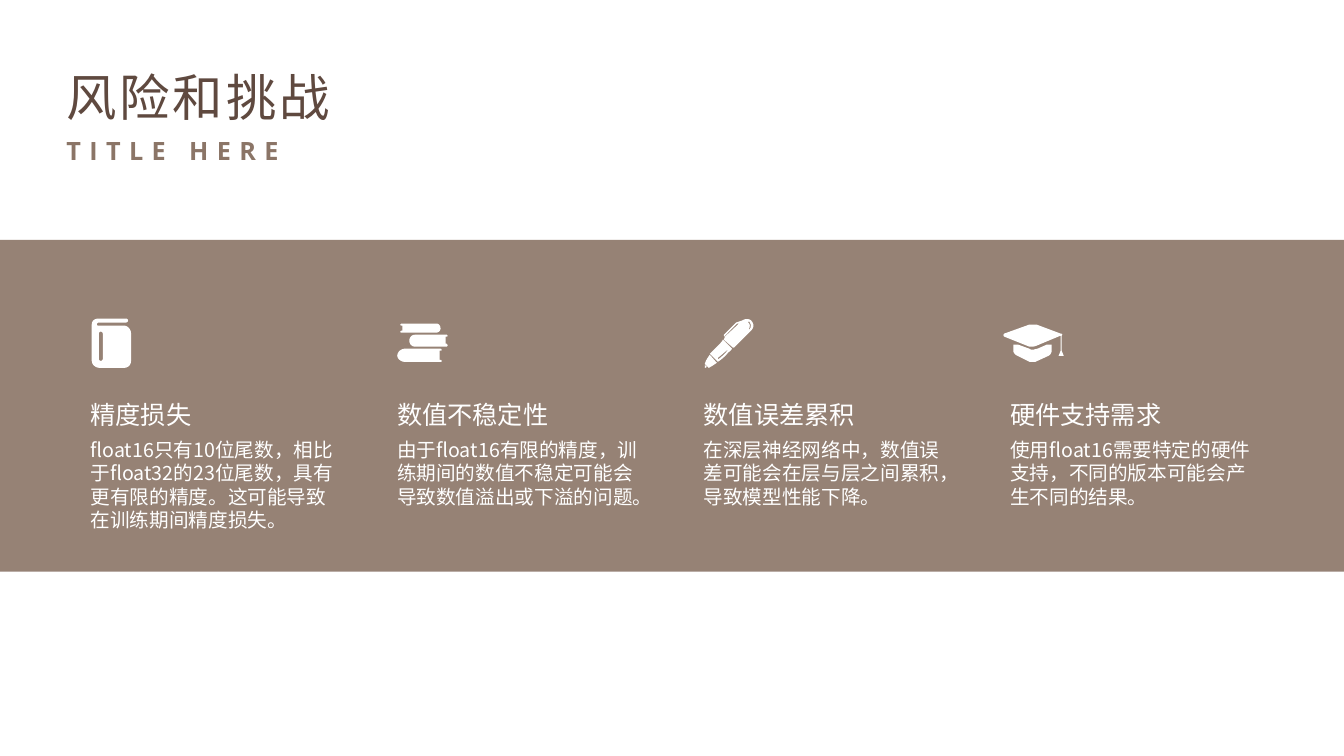
from dataclasses import dataclass

from lxml import etree
from pptx import Presentation
from pptx.dml.color import RGBColor
from pptx.enum import shapes, text
from pptx.oxml import ns
from pptx.util import Inches, Pt


@dataclass(frozen=True)
class Theme:
    dark: str = "5F493F"
    brown: str = "8B7567"
    white: str = "FFFFFF"
    chinese: str = "Noto Sans CJK SC"
    latin: str = "Open Sans"
    title: int = 36
    heading: int = 18
    body: int = 14


theme = Theme()


def style(para, size, color, name, bold=False, spacing=0):
    """Format a paragraph, including its East Asian font and letter spacing."""
    font = para.font
    font.size, font.bold, font.name = Pt(size), bold, name
    font.color.rgb = RGBColor.from_string(color)
    properties = para._p.pPr.find(ns.qn("a:defRPr"))
    properties.set("spc", str(spacing * 100))
    east_asian = etree.Element(ns.qn("a:ea"), typeface=name)
    properties.find(ns.qn("a:latin")).addnext(east_asian)


def draw_icon(page, left, top, outline):
    """Draw an outline of M, L, C and Z steps given in hundredths of an inch."""
    contours = []
    for step in outline.split():
        values = [float(value) for value in step[1:].split(",") if value]
        points = list(zip(values[::2], values[1::2]))
        if step[0] == "M":
            contours.append(points)
        elif step[0] == "L":
            contours[-1] += points
        elif step[0] == "C":
            curve = [contours[-1][-1]] + points
            for t in (0.2, 0.4, 0.6, 0.8, 1):
                weights = ((1 - t) ** 3, 3 * t * (1 - t) ** 2, 3 * t**2 * (1 - t), t**3)
                contours[-1].append(tuple(
                    sum(w * point[axis] for w, point in zip(weights, curve))
                    for axis in (0, 1)))
    builder = None
    for contour in contours:
        start, *rest = [(Inches(left + x / 100), Inches(top + y / 100)) for x, y in contour]
        if builder is None:
            builder = page.shapes.build_freeform(*start)
        else:
            builder.move_to(*start)
        builder.add_line_segments(rest, close=True)
    icon = builder.convert_to_shape()
    icon.shadow.inherit = False
    icon.fill.solid()
    icon.fill.fore_color.rgb = RGBColor.from_string(theme.white)
    icon.line.fill.background()


# Icon outlines
book = """
M32,7 L7,7 C6,7,5,7,5,6 C5,5,6,4,7,4 L34,4 C35,4,36,3,36,2 C36,1,35,0,34,0
L7,0 C3,0,0,2,0,6 L0,42 C0,46,4,49,8,49 L32,49 C36,49,39,46,39,42 L39,15
C39,11,36,7,32,7 Z
M11,40 C11,41,10,42,9,42 C8,42,7,41,7,40 L7,15 C7,14,8,13,9,13
C10,13,11,14,11,15 Z"""
stack = """
M42,27 L42,36 L43,36 C44,36,44,37,44,37 C44,38,44,38,43,38 L7,38
C4,38,0,35,0,32 C0,28,4,25,7,25 L43,25 C44,25,44,26,44,26
C44,27,44,27,43,27 Z
M49,20 L48,20 L48,13 L49,13 C49,13,50,13,50,12 C50,12,49,11,49,11 L18,11
C14,11,12,14,12,17 C12,20,14,23,18,23 L49,23 C49,23,50,22,50,22
C50,21,49,20,49,20 Z
M4,7 C4,7,3,8,3,8 C3,9,4,9,4,9 L39,9 C41,9,43,7,43,5 C43,2,41,0,39,0
L4,0 C4,0,3,1,3,1 C3,2,4,2,4,2 L5,2 L5,7 Z"""
pen = """
M0,46 L2,48 C1,49,0,49,0,49 C0,48,0,47,0,46 Z
M0,45 L4,49 C6,48,9,46,12,44 L5,36 C2,40,1,42,0,45 Z
M18,21 L27,30 C26,32,24,33,23,34 C20,38,16,41,13,43 L5,35
C8,32,11,29,14,26 C16,24,17,23,18,21 Z
M13,39 C13,40,13,41,14,40 C18,37,21,34,24,30 C25,30,24,29,24,30
C20,33,17,36,13,39 Z
M46,12 L30,28 C29,29,29,29,28,29 L19,21 C19,20,20,19,20,18 L34,5 L32,5
L20,17 C20,18,19,18,19,17 C19,17,19,16,19,16 L31,4 L37,2
C40,0,44,0,46,2 C49,5,49,9,46,12 Z
M44,3 C43,3,43,4,43,4 C45,5,45,8,44,10 C44,11,45,11,45,10 C46,8,46,5,44,3 Z"""
cap = """
M10,20 L15,20 L26,24 C27,25,29,25,29,25 C31,25,32,24,34,24 L43,20 L48,20
L48,26 C48,28,47,30,45,31 L32,37 C31,37,28,37,26,37 L14,31
C12,30,10,28,10,26 Z
M30,0 C31,0,32,0,33,0 L57,9 C59,9,59,10,58,11 L58,26 L60,31 L55,31 L57,26
L57,11 L33,21 C31,22,28,22,26,22 L1,12 C0,11,0,10,1,9 L26,0
C27,0,28,0,30,0 Z"""

risks = [
    ("精度损失", "float16只有10位尾数，相比于float32的23位尾数，具有更有限的精度。这可能导致在训练期间精度损失。",
     1.43, book, 0.91, 3.16),
    ("数值不稳定性", "由于float16有限的精度，训练期间的数值不稳定可能会导致数值溢出或下溢的问题。",
     1.43, stack, 3.94, 3.21),
    ("数值误差累积", "在深层神经网络中，数值误差可能会在层与层之间累积，导致模型性能下降。",
     1.19, pen, 6.99, 3.16),
    ("硬件支持需求", "使用float16需要特定的硬件支持，不同的版本可能会产生不同的结果。",
     1.19, cap, 9.95, 3.22),
]

deck = Presentation()
deck.slide_width, deck.slide_height = Inches(13.33), Inches(7.5)
page = deck.slides.add_slide(deck.slide_layouts[5])

# Title and subtitle
title = page.shapes.title
title.left, title.top, title.width, title.height = map(Inches, (0.56, 0.61, 4.24, 0.71))
title.text_frame.text = "风险和挑战"
title.text_frame.vertical_anchor = text.MSO_ANCHOR.TOP
title.text_frame.auto_size = text.MSO_AUTO_SIZE.NONE
para = title.text_frame.paragraphs[0]
para.alignment = text.PP_ALIGN.LEFT
style(para, theme.title, theme.dark, theme.chinese, spacing=2)

subtitle = page.shapes.add_textbox(*map(Inches, (0.56, 1.29, 4.51, 0.4)))
subtitle.text_frame.word_wrap = True
subtitle.text_frame.text = "TITLE HERE"
style(subtitle.text_frame.paragraphs[0], theme.heading, theme.brown, theme.latin,
      bold=True, spacing=6)

# Translucent band
band = page.shapes.add_shape(shapes.MSO_SHAPE.ROUNDED_RECTANGLE,
                             *map(Inches, (0, 2.38, 13.33, 3.29)))
band.adjustments[0] = 0
band.shadow.inherit = False
band.line.fill.background()
band.fill.solid()
band.fill.fore_color.rgb = RGBColor.from_string(theme.brown)
band_color = band._element.spPr.find(".//" + ns.qn("a:srgbClr"))
etree.SubElement(band_color, ns.qn("a:alpha"), val="90000")

# Risk columns
for column, (heading, detail, height, outline, icon_left, icon_top) in enumerate(risks):
    draw_icon(page, icon_left, icon_top, outline)
    box = page.shapes.add_textbox(Inches(0.8 + 3.04 * column), Inches(3.91),
                                  Inches(2.61), Inches(height))
    box.text_frame.word_wrap = True
    box.text_frame.text = f"{heading}\n{detail}"
    heading_para, detail_para = box.text_frame.paragraphs
    detail_para.space_before = Pt(6)
    style(heading_para, theme.heading, theme.white, theme.chinese)
    style(detail_para, theme.body, theme.white, theme.chinese)

deck.save("out.pptx")
